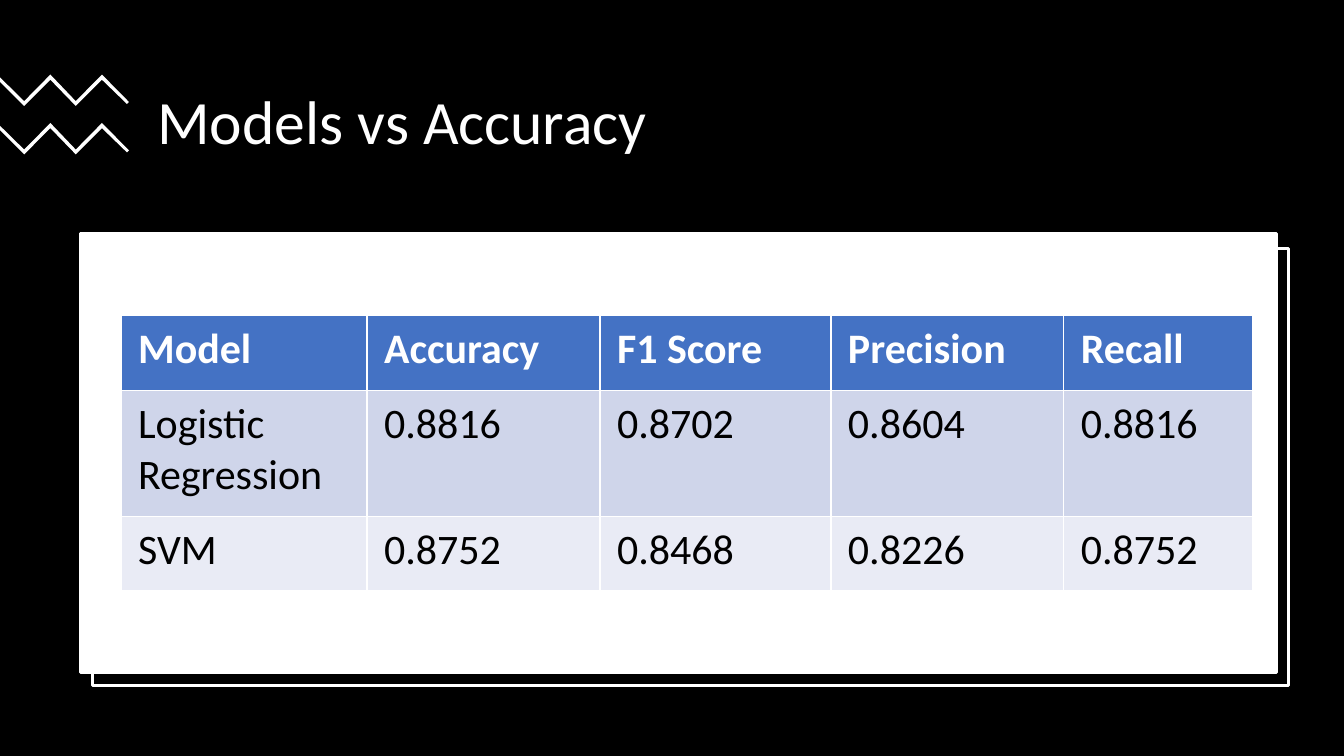
from dataclasses import dataclass

from pptx import Presentation
from pptx.dml.color import RGBColor
from pptx.enum import shapes, text
from pptx.util import Cm, Pt


@dataclass(frozen=True)
class Theme:
    font: str = "Calibri"
    head: int = 44
    body: int = 30
    line: float = 2.25
    black: str = "000000"
    white: str = "FFFFFF"
    blue: str = "4472C4"
    bands: tuple = ("CFD5EA", "E9EBF5")


THEME = Theme()
WIDTH, HEIGHT = 33.87, 19.05

ROWS = [
    ("Model", "Accuracy", "F1 Score", "Precision", "Recall"),
    ("Logistic Regression", "0.8816", "0.8702", "0.8604", "0.8816"),
    ("SVM", "0.8752", "0.8468", "0.8226", "0.8752"),
]
COLS = (6.2, 5.87, 5.82, 5.87, 4.75)
TALL = (1.88, 3.18, 1.88)

# Zigzag outline in hundredths of a centimetre
WAVE = [(0, 7), (61, 67), (127, 0), (191, 67), (257, 0), (325, 69),
        (320, 74), (257, 13), (191, 79), (127, 13), (61, 79), (0, 18)]


def paint(target, color):
    target.fill.solid()
    target.fill.fore_color.rgb = RGBColor.from_string(color)


def style(para, size, color, bold=False):
    para.font.name = THEME.font
    para.font.size = Pt(size)
    para.font.bold = bold
    para.font.color.rgb = RGBColor.from_string(color)


def add_rect(slide, box, fill, line=None):
    rect = slide.shapes.add_shape(
        shapes.MSO_SHAPE.RECTANGLE, *(Cm(v) for v in box))
    rect.shadow.inherit = False
    paint(rect, fill)
    if line:
        rect.line.color.rgb = RGBColor.from_string(line)
        rect.line.width = Pt(THEME.line)
    else:
        rect.line.fill.background()
    return rect


def add_title(slide, box, words):
    title = slide.shapes.title
    title.left, title.top, title.width, title.height = (Cm(v) for v in box)
    frame = title.text_frame
    frame.text = words
    frame.word_wrap = True
    frame.auto_size = text.MSO_AUTO_SIZE.NONE
    frame.vertical_anchor = text.MSO_ANCHOR.MIDDLE
    para = frame.paragraphs[0]
    para.alignment = text.PP_ALIGN.LEFT
    para.line_spacing = 0.9
    style(para, THEME.head, THEME.white)


def add_waves(slide, left, top, gap, count=2):
    for i in range(count):
        pen = slide.shapes.build_freeform(*WAVE[0], scale=Cm(0.01))
        pen.add_line_segments(WAVE[1:], close=True)
        wave = pen.convert_to_shape(Cm(left), Cm(top + i * gap))
        wave.shadow.inherit = False
        paint(wave, THEME.white)
        wave.line.fill.background()


def add_card(slide, box):
    """White panel with an outlined panel set off behind it."""
    left, top, width, height = box
    add_rect(slide, (left + 0.3, top + 0.38, width, height - 0.05),
             THEME.black, THEME.white)
    add_rect(slide, box, THEME.white, THEME.white)


def add_scores(slide, left, top):
    table = slide.shapes.add_table(
        len(ROWS), len(COLS), Cm(left), Cm(top),
        Cm(sum(COLS)), Cm(sum(TALL))).table
    for col, width in zip(table.columns, COLS):
        col.width = Cm(width)
    for r, values in enumerate(ROWS):
        table.rows[r].height = Cm(TALL[r])
        head = r == 0
        fill = THEME.blue if head else THEME.bands[(r - 1) % 2]
        for c, value in enumerate(values):
            cell = table.cell(r, c)
            cell.text = value
            cell.margin_left = cell.margin_right = Cm(0.43)
            cell.margin_top = cell.margin_bottom = Cm(0.21)
            paint(cell, fill)
            style(cell.text_frame.paragraphs[0], THEME.body,
                  THEME.white if head else THEME.black, head)


def add_results(deck):
    slide = deck.slides.add_slide(deck.slide_layouts[5])
    back = add_rect(slide, (0, 0, WIDTH, HEIGHT), THEME.black)
    add_title(slide, (3.71, 1.57, 27.08, 3.12), "Models vs Accuracy")
    back.element.addnext(slide.shapes.title.element)  # title above backdrop
    add_waves(slide, 0, 1.88, 1.22)
    add_card(slide, (2.03, 5.89, 30.15, 11.05))
    add_scores(slide, 3.05, 7.95)


def main():
    deck = Presentation()
    deck.slide_width, deck.slide_height = Cm(WIDTH), Cm(HEIGHT)
    add_results(deck)
    deck.save("out.pptx")


if __name__ == "__main__":
    main()
